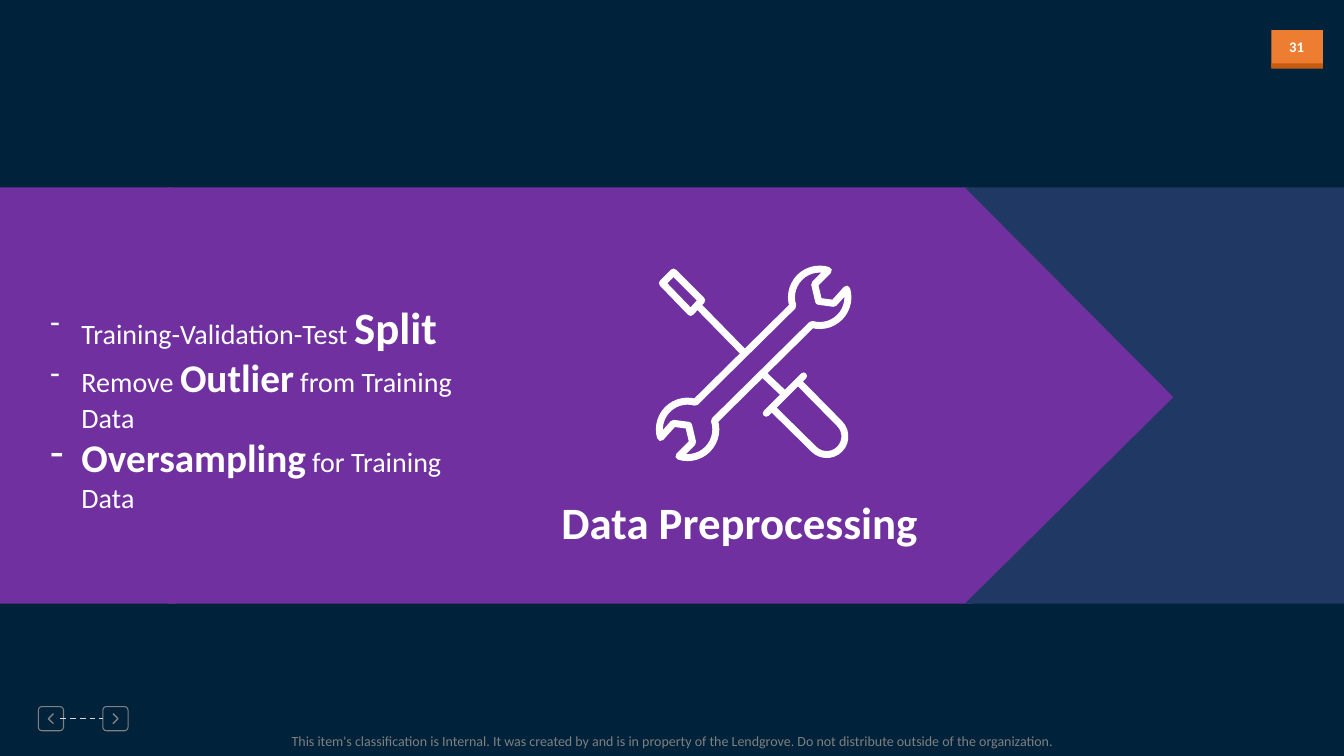
import math

import lxml.etree
import pptx
import pptx.dml.color
import pptx.enum.dml
import pptx.enum.shapes
import pptx.enum.text
import pptx.oxml.ns
import pptx.util

Inches, Pt = pptx.util.Inches, pptx.util.Pt
SHAPE = pptx.enum.shapes.MSO_SHAPE
ALIGN = pptx.enum.text.PP_ALIGN

FONT = "Calibri"
COLORS = {
    "background": "00223B", "purple": "7030A0", "navy": "203864", "white": "FFFFFF",
    "orange": "ED7D31", "rust": "C55A11", "grey": "808080", "silver": "D9D9D9",
}

# A run is (text, size, bold)
TITLE = [[("Data Preprocessing", 32, True)]]
STEPS = [
    [("Training-Validation-Test ", 20, False), ("Split", 32, True)],
    [("Remove ", 20, False), ("Outlier", 28, True), (" from Training Data", 20, False)],
    [("Oversampling", 28, True), (" for Training Data", 20, False)],
]
PAGE_NUMBER = [[("31", 10.5, True)]]
CLASSIFICATION = [[(
    "This item's classification is Internal. It was created by and is in property of the "
    "Lendgrove. Do not distribute outside of the organization.", 10, False)]]

BAND_TOP, BAND_STEP, BAND_START = 1.86, 7.9, 1.67
BANDS = [(0, "purple"), (-1, "purple"), (1, "navy")]
BAND_OUTLINE = [(7.93, 0), (0, 0), (2.07, 2.08), (0, 4.13), (7.97, 4.13), (10.04, 2.08)]

TOOLS_CENTER = (7.475, 3.605)
WRENCH_HEAD, WRENCH_RADIUS = (8.13, 2.95), 0.28
WRENCH_JAW = [(8.08, 2.82), (8.12, 2.99), (8.27, 3.01)]
DRIVER_TIP = [(6.57, 2.81), (6.68, 2.7), (6.96, 2.98), (6.85, 3.1)]
DRIVER_LINES = [
    [(6.93, 3.04), (7.37, 3.49)],
    [(7.58, 3.72), (7.78, 3.91)],
    [(7.6, 4.1), (7.97, 3.73)],
]
HANDLE_END, HANDLE_RADIUS = (8.2, 4.33), 0.18
HANDLE_START, HANDLE_FINISH = (7.68, 4.07), (7.94, 3.81)

# Left edge of the button, then x of the arrow's ends and of its tip
NAV_BUTTONS = [(0.38, 0.53, 0.48), (1.02, 1.12, 1.17)]
NAV_TOP, NAV_MIDDLE, ARROW_RISE = 7.01, 7.13, 0.05


def rgb(name):
    return pptx.dml.color.RGBColor.from_string(COLORS[name])


def paint(shape, fill=None, line=None, width=0.75):
    shape.shadow.inherit = False
    if fill:
        shape.fill.solid()
        shape.fill.fore_color.rgb = rgb(fill)
    else:
        shape.fill.background()
    if line:
        shape.line.color.rgb = rgb(line)
        shape.line.width = Pt(width)
    else:
        shape.line.fill.background()


def arc(center, radius, start, end, steps=14):
    """Points on a circle; degrees run clockwise from the right."""
    angles = [math.radians(start + (end - start) * i / steps) for i in range(steps + 1)]
    return [(center[0] + radius * math.cos(a), center[1] + radius * math.sin(a))
            for a in angles]


def add_outline(slide, contours):
    """Add one freeform from (points, closed) pairs."""
    builder = None
    for points, closed in contours:
        first, *rest = [(Inches(x), Inches(y)) for x, y in points]
        if builder is None:
            builder = slide.shapes.build_freeform(*first)
        else:
            builder.move_to(*first)
        builder.add_line_segments(rest, close=closed)
    return builder.convert_to_shape()


def add_rectangle(slide, kind, box, **look):
    shape = slide.shapes.add_shape(kind, *map(Inches, box))
    paint(shape, **look)
    return shape


def add_text(slide, box, paragraphs, color="white", align=ALIGN.LEFT, wrap=True, dashed=False):
    frame = slide.shapes.add_textbox(*map(Inches, box)).text_frame
    frame.word_wrap = wrap
    frame.auto_size = pptx.enum.text.MSO_AUTO_SIZE.SHAPE_TO_FIT_TEXT
    for index, runs in enumerate(paragraphs):
        paragraph = frame.add_paragraph() if index else frame.paragraphs[0]
        paragraph.alignment = align
        if dashed:
            properties = paragraph._p.get_or_add_pPr()
            properties.set("marL", str(Inches(0.31)))
            properties.set("indent", str(Inches(-0.31)))
            lxml.etree.SubElement(properties, pptx.oxml.ns.qn("a:buChar"), char="-")
        for text, size, bold in runs:
            run = paragraph.add_run()
            run.text = text
            run.font.name, run.font.size, run.font.bold = FONT, Pt(size), bold
            run.font.color.rgb = rgb(color)
    return frame


def add_footer(slide):
    frame = add_text(slide, (2.34, 7.27, 8.65, 0.17), CLASSIFICATION, "grey", ALIGN.CENTER)
    frame.margin_left = frame.margin_right = frame.margin_top = frame.margin_bottom = 0
    frame.vertical_anchor = pptx.enum.text.MSO_ANCHOR.MIDDLE


def add_page_number(slide):
    add_rectangle(slide, SHAPE.RECTANGLE, (12.61, 0.3, 0.51, 0.38), fill="orange")
    add_rectangle(slide, SHAPE.RECTANGLE, (12.61, 0.63, 0.51, 0.05), fill="rust")
    add_text(slide, (12.67, 0.33, 0.38, 0.28), PAGE_NUMBER, align=ALIGN.CENTER, wrap=False)


def add_navigation(slide):
    for left, ends, tip in NAV_BUTTONS:
        arrow = [(ends, NAV_MIDDLE - ARROW_RISE), (tip, NAV_MIDDLE),
                 (ends, NAV_MIDDLE + ARROW_RISE)]
        paint(add_outline(slide, [(arrow, False)]), line="grey", width=1)
        button = add_rectangle(slide, SHAPE.ROUNDED_RECTANGLE, (left, NAV_TOP, 0.25, 0.24),
                               line="grey")
        button.adjustments[0] = 0.15
    link = slide.shapes.add_connector(
        pptx.enum.shapes.MSO_CONNECTOR.STRAIGHT,
        *map(Inches, (0.6, NAV_MIDDLE, 1.02, NAV_MIDDLE)))
    link.line.color.rgb = rgb("silver")
    link.line.width = Pt(1)
    link.line.dash_style = pptx.enum.dml.MSO_LINE.DASH
    lxml.etree.SubElement(link._element.spPr, pptx.oxml.ns.qn("a:effectLst"))


def add_bands(slide):
    for position, color in BANDS:
        left = BAND_START + position * BAND_STEP
        band = [(left + x, BAND_TOP + y) for x, y in BAND_OUTLINE]
        paint(add_outline(slide, [(band, True)]), fill=color)


def add_tools(slide):
    """Draw the wrench, whose ends mirror each other, across the screwdriver."""
    wrench_end = (arc(WRENCH_HEAD, WRENCH_RADIUS, 162, 288) + WRENCH_JAW
                  + arc(WRENCH_HEAD, WRENCH_RADIUS, -17, 106))
    other_end = [(2 * TOOLS_CENTER[0] - x, 2 * TOOLS_CENTER[1] - y) for x, y in wrench_end]
    handle = [HANDLE_START, *arc(HANDLE_END, HANDLE_RADIUS, 135, -45), HANDLE_FINISH]
    contours = [(wrench_end + other_end, True), (DRIVER_TIP, True), (handle, False)]
    contours += [(line, False) for line in DRIVER_LINES]
    tools = add_outline(slide, contours)
    paint(tools, line="white", width=5)
    stroke = tools.line._get_or_add_ln()
    stroke.set("cap", "rnd")
    lxml.etree.SubElement(stroke, pptx.oxml.ns.qn("a:round"))


def main():
    deck = pptx.Presentation()
    deck.slide_width, deck.slide_height = Inches(13.33), Inches(7.5)
    slide = deck.slides.add_slide(deck.slide_layouts[6])
    slide.background.fill.solid()
    slide.background.fill.fore_color.rgb = rgb("background")

    add_footer(slide)
    add_page_number(slide)
    add_navigation(slide)
    add_bands(slide)
    add_text(slide, (5.47, 4.86, 4.28, 0.64), TITLE)
    add_tools(slide)
    add_text(slide, (0.4, 2.92, 4.51, 2.26), STEPS, dashed=True)
    deck.save("out.pptx")


if __name__ == "__main__":
    main()
